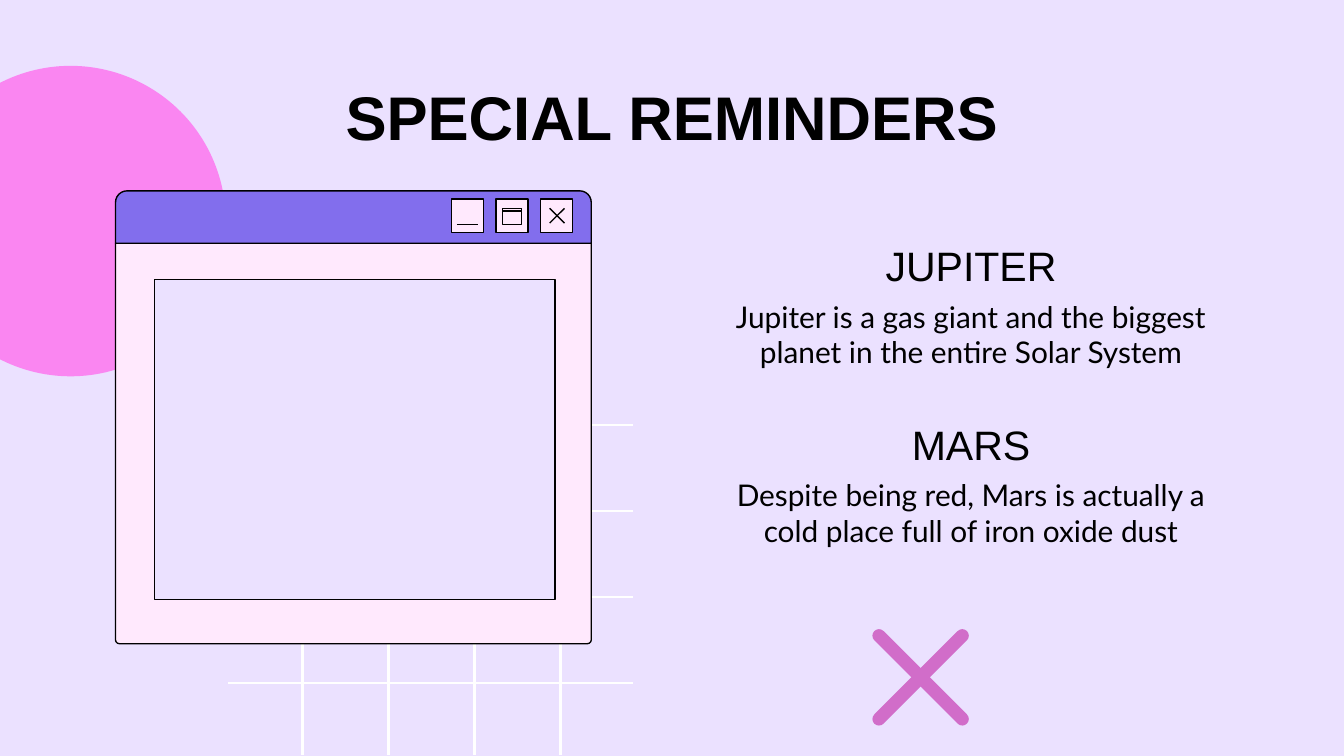
from dataclasses import dataclass

from lxml.etree import SubElement
from pptx import Presentation
from pptx.dml.color import RGBColor
from pptx.enum.shapes import MSO_CONNECTOR, MSO_SHAPE
from pptx.enum.text import MSO_ANCHOR, MSO_AUTO_SIZE, PP_ALIGN
from pptx.oxml.ns import qn
from pptx.util import Inches, Pt


@dataclass(frozen=True)
class Theme:
    lilac: str = "EBE1FF"
    pink: str = "FA86F1"
    orchid: str = "D16DC9"
    blush: str = "FFE9FD"
    violet: str = "826EED"
    white: str = "FFFFFF"
    ink: str = "000000"
    heading_font: str = "Arial"
    body_font: str = "Lato"
    title_size: int = 33
    heading_size: int = 22
    body_size: int = 16
    outline: float = 0.75


THEME = Theme()


def rgb(value):
    return RGBColor.from_string(value)


def add_box(shapes, kind, box, fill=None, line=None, adjustments=()):
    """Preset shape with an optional fill and outline."""
    sp = shapes.add_shape(kind, *map(Inches, box))
    sp.shadow.inherit = False
    for i, value in enumerate(adjustments):
        sp.adjustments[i] = value
    if fill:
        sp.fill.solid()
        sp.fill.fore_color.rgb = rgb(fill)
    else:
        sp.fill.background()
    if line:
        sp.line.color.rgb = rgb(line)
        sp.line.width = Pt(THEME.outline)
    else:
        sp.line.fill.background()
    return sp


def add_line(shapes, start, end, color=THEME.ink, width=THEME.outline, cap="flat"):
    ln = shapes.add_connector(MSO_CONNECTOR.STRAIGHT, *map(Inches, (*start, *end)))
    ln.line.color.rgb = rgb(color)
    ln.line.width = Pt(width)
    ln.line._get_or_add_ln().set("cap", cap)
    SubElement(ln._element.spPr, qn("a:effectLst"))


def add_cross(shapes, x, y, size, **style):
    add_line(shapes, (x, y), (x + size, y + size), **style)
    add_line(shapes, (x + size, y), (x, y + size), **style)


def set_text(sp, text, anchor, **font):
    """Centred single-paragraph text with even margins."""
    tf = sp.text_frame
    frame = dict(word_wrap=True, auto_size=MSO_AUTO_SIZE.NONE, vertical_anchor=anchor)
    frame.update({f"margin_{side}": Inches(0.1)
                  for side in ("left", "top", "right", "bottom")})
    for name, value in frame.items():
        setattr(tf, name, value)
    p = tf.paragraphs[0]
    p.alignment = PP_ALIGN.CENTER
    r = p.add_run()
    r.text = text
    for name, value in font.items():
        setattr(r.font, name, value)
    r.font.color.rgb = rgb(THEME.ink)


def add_title(s, text):
    sp = s.shapes.title
    sp.left, sp.top, sp.width, sp.height = map(Inches, (0.78, 0.49, 8.44, 0.63))
    set_text(sp, text, MSO_ANCHOR.TOP, name=THEME.heading_font,
             size=Pt(THEME.title_size), bold=True)


def add_reminder(s, top, heading, body):
    left, width = 5.23, 3.99
    parts = (
        (heading, top, 0.41, THEME.heading_font, THEME.heading_size),
        (body, top + 0.47, 0.49, THEME.body_font, THEME.body_size),
    )
    for text, y, height, font, size in parts:
        sp = s.shapes.add_textbox(*map(Inches, (left, y, width, height)))
        set_text(sp, text, MSO_ANCHOR.MIDDLE, name=font, size=Pt(size))


def add_grid(s):
    left, top, length, margin, pitch = 1.7, 2.61, 3.01, 0.55, 0.64
    style = dict(color=THEME.white, width=1.25)
    for i in range(4):
        offset = margin + i * pitch
        x, y = left + offset, top + offset
        add_line(s.shapes, (x, top), (x, top + length), **style)
        add_line(s.shapes, (left, y), (left + length, y), **style)


def add_window(s):
    shapes = s.shapes.add_group_shape().shapes
    left, top, width, bar, body = 0.86, 1.42, 3.54, 0.39, 2.98
    # Frame, screen and title bar
    add_box(shapes, MSO_SHAPE.ROUND_2_SAME_RECTANGLE, (left, top + bar, width, body),
            THEME.blush, THEME.ink, (0, 0.01))
    add_box(shapes, MSO_SHAPE.RECTANGLE, (1.15, 2.08, 2.98, 2.38),
            THEME.lilac, THEME.ink)
    add_box(shapes, MSO_SHAPE.ROUND_2_SAME_RECTANGLE, (left, top, width, bar),
            THEME.violet, THEME.ink, (0.22, 0))
    # Buttons: minimise, maximise, close
    xs = [3.36 + 0.33 * i for i in range(3)]
    for x in xs:
        add_box(shapes, MSO_SHAPE.RECTANGLE, (x, 1.48, 0.24, 0.25),
                THEME.blush, THEME.ink)
    add_line(shapes, (xs[0] + 0.04, 1.67), (xs[0] + 0.2, 1.67))
    for height in (0.12, 0.02):
        add_box(shapes, MSO_SHAPE.RECTANGLE, (xs[1] + 0.05, 1.55, 0.14, height),
                line=THEME.ink)
    add_cross(shapes, xs[2] + 0.07, 1.55, 0.11)


def main():
    prs = Presentation()
    prs.slide_width = Inches(10)
    prs.slide_height = prs.slide_width * 9 // 16
    s = prs.slides.add_slide(prs.slide_layouts[5])
    s.background.fill.solid()
    s.background.fill.fore_color.rgb = rgb(THEME.lilac)

    # Background decoration
    add_grid(s)
    add_box(s.shapes, MSO_SHAPE.OVAL, (-0.63, 0.49, 2.31, 2.31), THEME.pink)
    add_cross(s.shapes, 6.54, 4.73, 0.62, color=THEME.orchid, width=7, cap="rnd")

    # Text
    add_title(s, "SPECIAL REMINDERS")
    add_reminder(s, 1.77, "JUPITER",
                 "Jupiter is a gas giant and the biggest planet in the entire Solar System")
    add_reminder(s, 3.1, "MARS",
                 "Despite being red, Mars is actually a cold place full of iron oxide dust")

    # Browser window
    add_window(s)
    prs.save("out.pptx")


if __name__ == "__main__":
    main()
